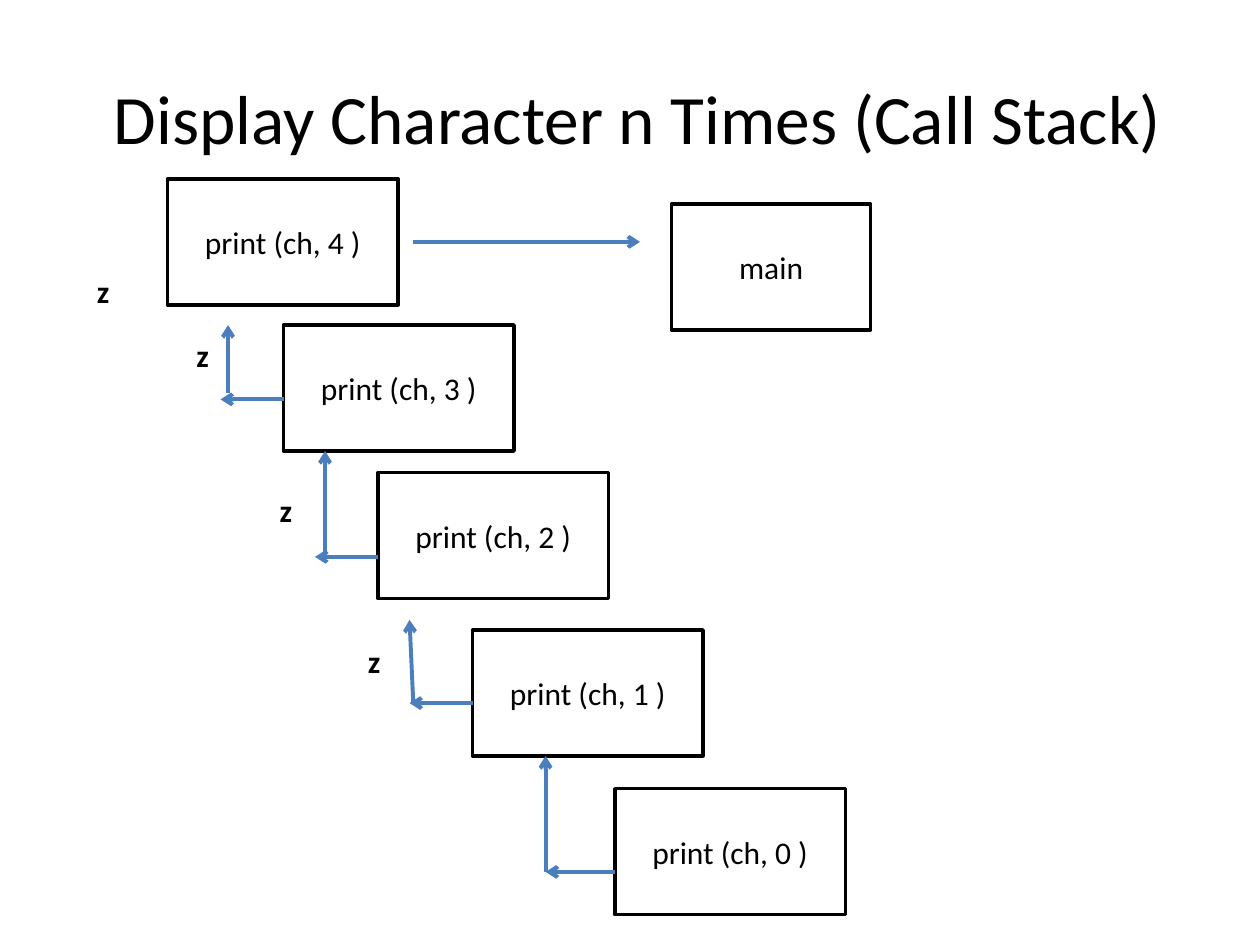
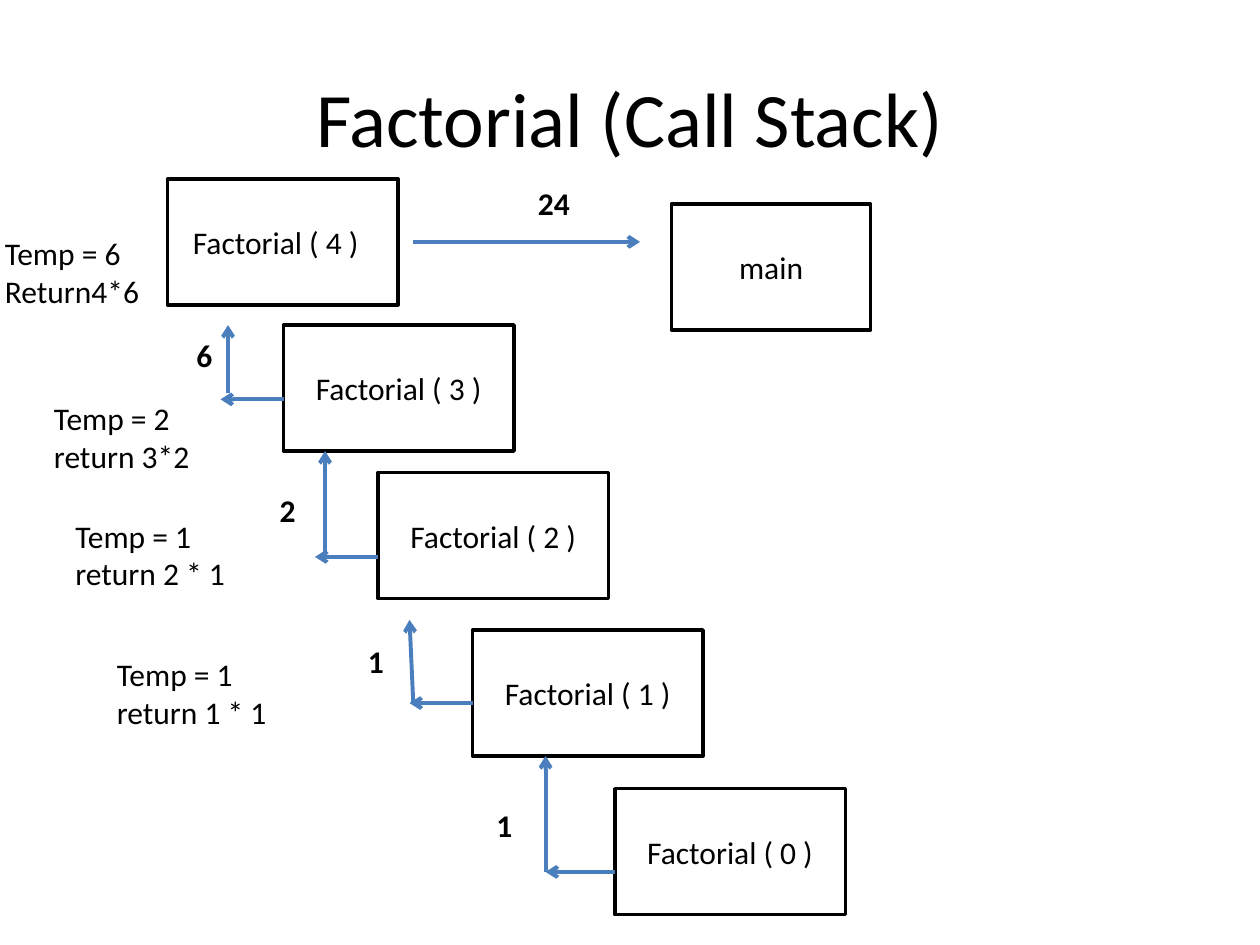
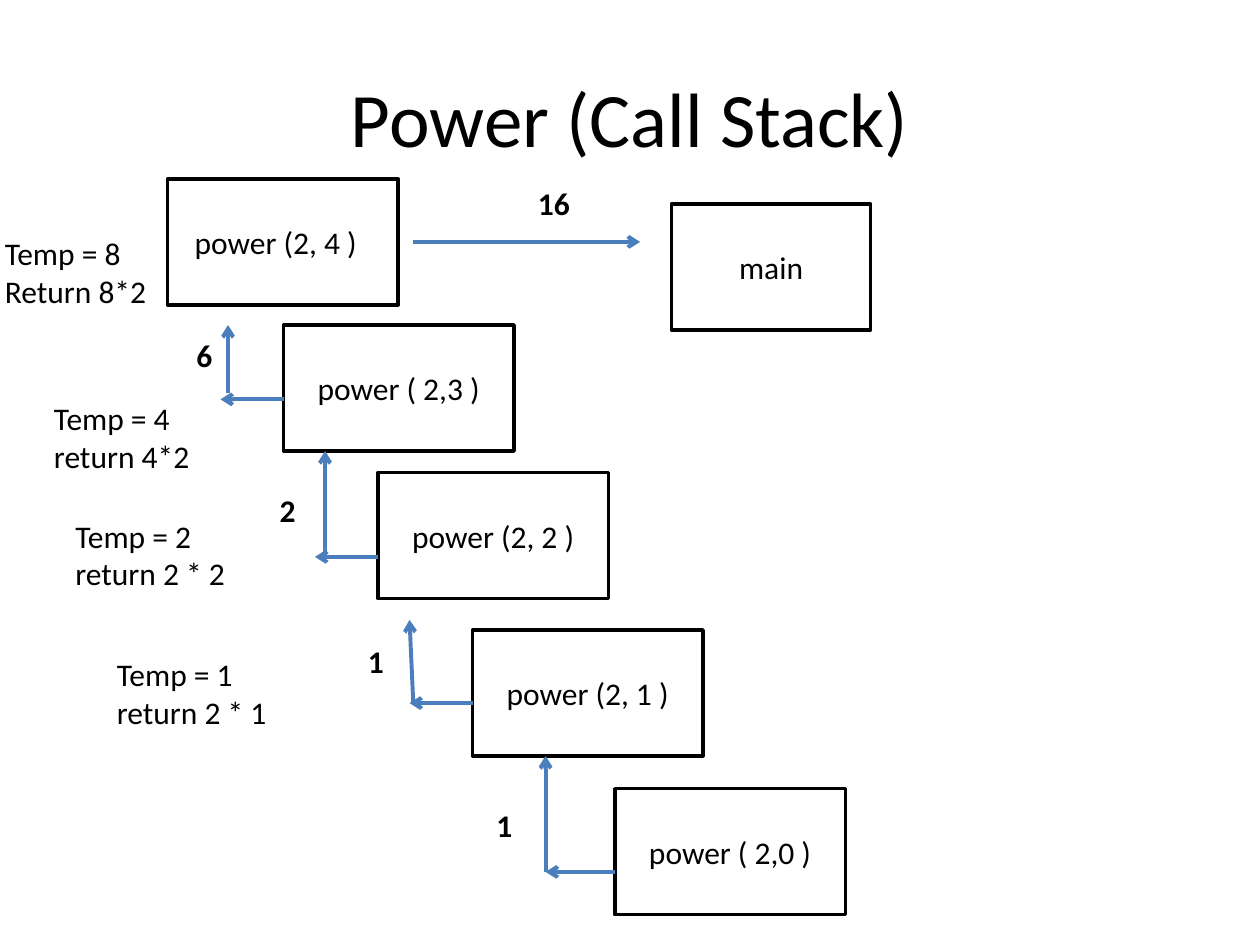
from pptx import Presentation
from pptx.dml.color import RGBColor
from pptx.enum.shapes import MSO_CONNECTOR as Connector, MSO_SHAPE as Shape
from pptx.enum.text import MSO_ANCHOR as Anchor, MSO_AUTO_SIZE as AutoSize, PP_ALIGN as Align
from pptx.oxml.ns import qn
from pptx.util import Inches, Pt
from lxml.etree import SubElement

BLACK = RGBColor(0x00, 0x00, 0x00)
WHITE = RGBColor(0xFF, 0xFF, 0xFF)
BLUE = RGBColor(0x4B, 0x7E, 0xBC)
INSET = 0.1
TWO_SPACES = 0.11

STACKS = [
    {
        "title": "Display Character n Times (Call Stack)",
        "title size": 39.6,
        "title shift": 0.12,
        "call shift": 0,
        "calls": ["print (ch, 4 )", "print (ch, 3 )", "print (ch, 2 )", "print (ch, 1 )", "print (ch, 0 )"],
        "returned": ["", "z", "z", "z", ""],
        "notes": [],
        "printed last": "z",
    },
    {
        "title": "Factorial (Call Stack)",
        "title size": 44,
        "title shift": 0,
        "call shift": TWO_SPACES,
        "calls": [f"Factorial ( {n} )" for n in (4, 3, 2, 1, 0)],
        "returned": ["24", "6", "2", "1", "1"],
        "notes": [("Temp = 6", "Return4*6"), ("Temp = 2", "return 3*2"),
                  ("Temp = 1", "return 2 * 1"), ("Temp = 1", "return 1 * 1")],
        "printed last": "",
    },
    {
        "title": "Power (Call Stack)",
        "title size": 44,
        "title shift": 0,
        "call shift": TWO_SPACES,
        "calls": ["power (2, 4 )", "power ( 2,3 )", "power (2, 2 )", "power (2, 1 )", "power ( 2,0 )"],
        "returned": ["16", "6", "2", "1", "1"],
        "notes": [("Temp = 8", "Return 8*2"), ("Temp = 4", "return 4*2"),
                  ("Temp = 2", "return 2 * 2"), ("Temp = 1", "return 2 * 1")],
        "printed last": "",
    },
]

TITLE_AREA = (0.5, 0.3, 9, 1.25)
MAIN_AREA = (5.33, 1.62, 1.58, 1)
PRINTED_AREA = (0.67, 2.11, 0.72, 0.4)
CALL_SIZE = (1.83, 1)
CALL_CORNERS = [(1.33, 1.42), (2.25, 2.58), (3, 3.75), (3.75, 5), (4.88, 6.26)]
RETURN_AREAS = [(4.06, 1.41, 0.6, 0.4), (1.46, 2.62, 0.35, 0.4), (2.12, 3.85, 0.35, 0.4),
                (2.71, 5.05, 0.45, 0.4), (3.73, 6.35, 0.54, 0.4)]
RETURN_INDENTS = [TWO_SPACES, 0, 0, TWO_SPACES, TWO_SPACES]
NOTE_AREAS = [(-0.06, 1.81, 1.46, 1.01), (0.33, 3.12, 1.42, 0.71),
              (0.5, 4.05, 1.5, 0.71), (0.83, 5.15, 1.67, 0.71)]
MAIN_ARROW = ((3.28, 1.92), (5.08, 1.92))
EXITS = [(1.75, 3.17), (2.5, 4.42), (3.25, 5.58), (4.33, 6.92)]
RISERS = [((1.81, 3.12), (1.81, 2.58)), ((2.58, 4.42), (2.58, 3.58)),
          ((3.28, 5.58), (3.25, 4.92)), ((4.33, 6.92), (4.33, 6))]


def write(shape, lines, size=18, bold=False, align=Align.LEFT, anchor=Anchor.TOP, left=0, right=0):
    frame = shape.text_frame
    settings = {
        "word_wrap": True,
        "vertical_anchor": anchor,
        "margin_left": Inches(INSET + left),
        "margin_right": Inches(INSET + right),
    }
    for name, value in settings.items():
        setattr(frame, name, value)
    frame.text = "\n".join(lines)
    for para in frame.paragraphs:
        para.alignment = align
        for name, value in {"name": "Calibri", "size": Pt(size), "bold": bold}.items():
            setattr(para.font, name, value)
        para.font.color.rgb = BLACK


def add_text(page, area, lines, **style):
    box = page.shapes.add_textbox(*map(Inches, area))
    write(box, lines, **style)
    return box


def add_label(page, area, lines, **style):
    add_text(page, area, lines, **style).text_frame.auto_size = AutoSize.SHAPE_TO_FIT_TEXT


def add_call(page, area, name, shift=0):
    box = page.shapes.add_shape(Shape.RECTANGLE, *map(Inches, area))
    box.shadow.inherit = False
    box.fill.solid()
    box.fill.fore_color.rgb = WHITE
    box.line.color.rgb = BLACK
    box.line.width = Pt(2)
    write(box, [name], align=Align.CENTER, anchor=Anchor.MIDDLE, right=shift)


def add_arrow(page, start, end):
    arrow = page.shapes.add_connector(Connector.STRAIGHT, *map(Inches, start + end))
    arrow.line.color.rgb = BLUE
    arrow.line.width = Pt(2.25)
    SubElement(arrow.line._get_or_add_ln(), qn("a:tailEnd"), type="arrow")
    SubElement(arrow._element.spPr, qn("a:effectLst"))


def add_stack(page, stack):
    add_text(page, TITLE_AREA, [stack["title"]], size=stack["title size"], align=Align.CENTER,
             anchor=Anchor.MIDDLE, left=stack["title shift"])
    for level, (corner, name) in enumerate(zip(CALL_CORNERS, stack["calls"])):
        add_call(page, corner + CALL_SIZE, name, 0 if level else stack["call shift"])
    add_call(page, MAIN_AREA, "main")

    add_arrow(page, *MAIN_ARROW)
    for (left, _), tip, riser in zip(CALL_CORNERS[1:], EXITS, RISERS):
        add_arrow(page, (left, tip[1]), tip)
        add_arrow(page, *riser)

    for area, indent, value in zip(RETURN_AREAS, RETURN_INDENTS, stack["returned"]):
        if value:
            add_label(page, area, [value], bold=True, left=indent)
    for area, lines in zip(NOTE_AREAS, stack["notes"]):
        add_label(page, area, lines)
    if stack["printed last"]:
        add_label(page, PRINTED_AREA, [stack["printed last"]], bold=True)


def main():
    deck = Presentation()
    deck.slide_width, deck.slide_height = Inches(10), Inches(7.5)
    for stack in STACKS:
        add_stack(deck.slides.add_slide(deck.slide_layouts[6]), stack)
    deck.save("out.pptx")


if __name__ == "__main__":
    main()
